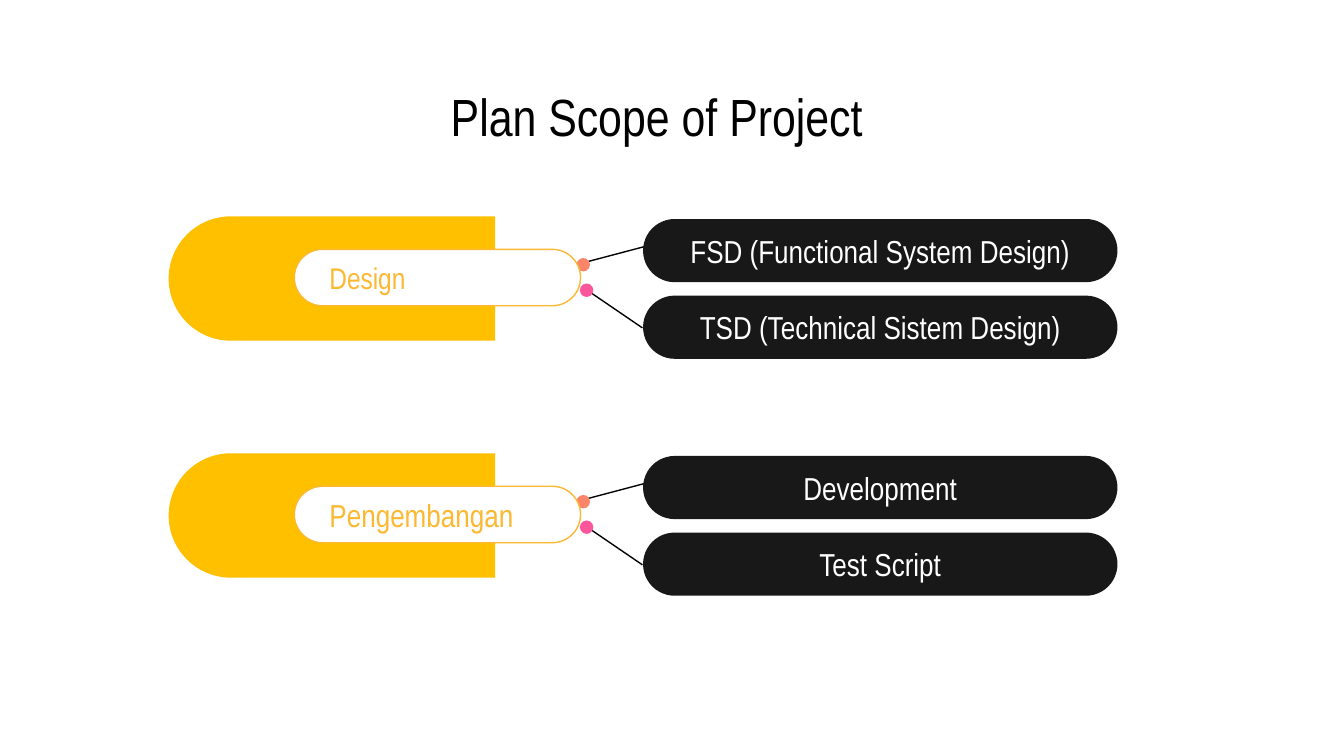
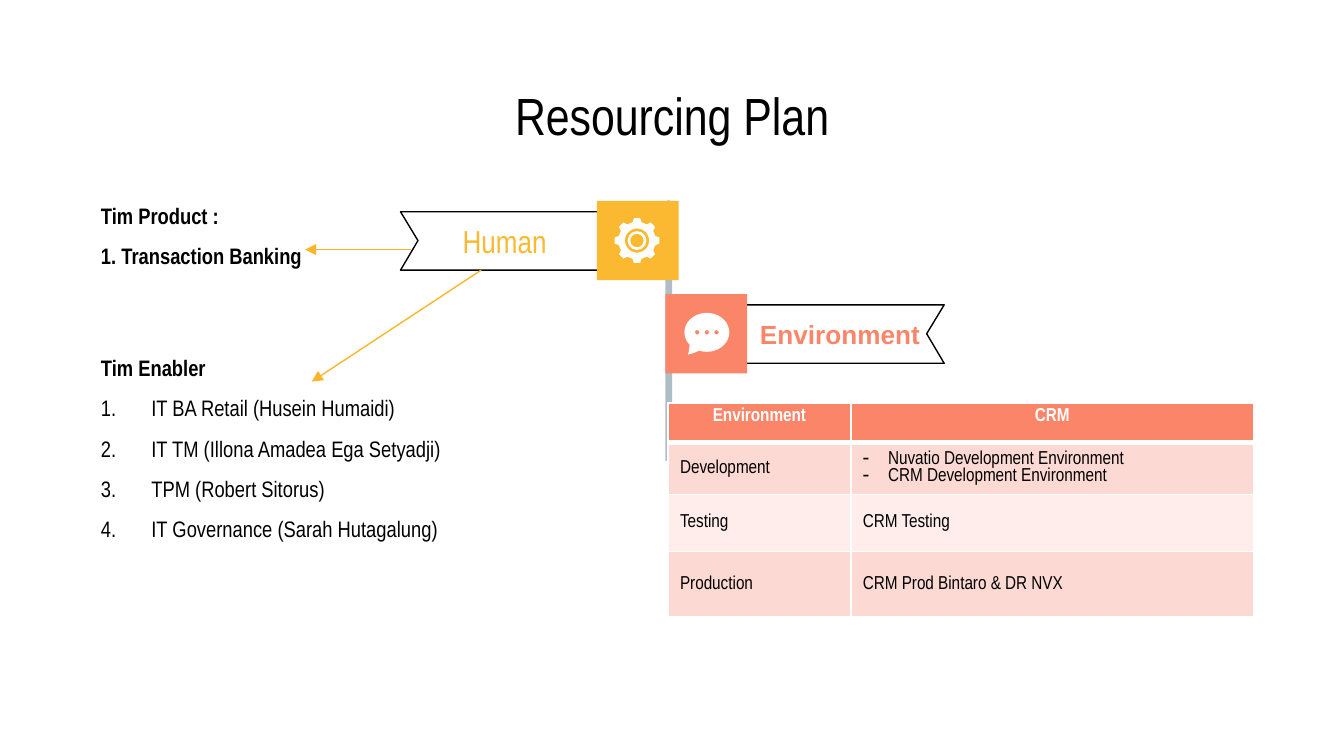
from dataclasses import dataclass
from math import cos, radians, sin

from lxml import etree
from pptx import Presentation, util as u
from pptx.dml.color import RGBColor
from pptx.enum import shapes, text
from pptx.oxml import ns

CELL = 0.1  # inches; every length below counts cells of this grid
FONT = "Arial Narrow"
COLORS = {
    "black": "000000", "white": "FFFFFF", "task": "181818", "band": "FFC000",
    "amber": "FBB831", "arrow": "FAB62B", "coral": "FB8569", "pink": "FB569C",
    "pole": "AFBDC6", "row_dark": "FDD9D4", "row_light": "FEEDEB",
}
SHAPE = shapes.MSO_SHAPE
ALIGN = text.PP_ALIGN
MIDDLE = text.MSO_ANCHOR.MIDDLE


def cells(count):
    return u.Inches(count * CELL)


@dataclass
class Box:
    """A region of the slide, measured in grid cells."""
    left: float
    top: float
    width: float
    height: float

    def inner(self, left, top, width, height):
        return Box(self.left + left, self.top + top, width, height)

    def point(self, x, y):
        return cells(self.left + x), cells(self.top + y)

    @property
    def frame(self):
        return tuple(map(cells, (self.left, self.top, self.width, self.height)))


SLIDE = Box(0, 0, 100, 56.25)


def color(name):
    return RGBColor.from_string(COLORS[name])


def style_font(paragraph, size, color_name, bold=False, name=FONT):
    font = paragraph.font
    font.name, font.size, font.bold = name, u.Pt(size), bold
    font.color.rgb = color(color_name)


def style_shape(shape, fill=None, line=None):
    shape.shadow.inherit = False
    if fill:
        shape.fill.solid()
        shape.fill.fore_color.rgb = color(fill)
    else:
        shape.fill.background()
    if line:
        shape.line.color.rgb = color(line)
        shape.line.width = u.Pt(0.75)
    else:
        shape.line.fill.background()
    return shape


def add_preset(slide, kind, box, fill, line=None, adjustments=()):
    shape = style_shape(slide.shapes.add_shape(kind, *box.frame), fill, line)
    for index, value in enumerate(adjustments):
        shape.adjustments[index] = value
    return shape


def add_outline(slide, box, contours, fill=None, line=None):
    """Draw closed contours, given in cells from the corner of the box."""
    paths = [[box.point(*point) for point in contour] for contour in contours]
    builder = slide.shapes.build_freeform(*paths[0][0])
    builder.add_line_segments(paths[0][1:], close=True)
    for start, *rest in paths[1:]:
        builder.move_to(*start)
        builder.add_line_segments(rest, close=True)
    return style_shape(builder.convert_to_shape(), fill, line)


def add_line(slide, start, end, line="black", arrow=False):
    connector = slide.shapes.add_connector(shapes.MSO_CONNECTOR.STRAIGHT, *start, *end)
    connector.line.color.rgb = color(line)
    connector.line.width = u.Pt(0.75)
    properties = connector._element.spPr
    if arrow:
        etree.SubElement(properties.find(ns.qn("a:ln")), ns.qn("a:tailEnd"), type="triangle")
    etree.SubElement(properties, ns.qn("a:effectLst"))


def write_label(shape, label, size, color_name, align=ALIGN.CENTER, indent=1, **font):
    frame = shape.text_frame
    frame.word_wrap = True
    frame.auto_size = text.MSO_AUTO_SIZE.NONE
    frame.vertical_anchor = MIDDLE
    frame.margin_left = cells(indent)
    frame.margin_top = frame.margin_right = frame.margin_bottom = cells(1)
    paragraph = frame.paragraphs[0]
    paragraph.text, paragraph.alignment = label, align
    style_font(paragraph, size, color_name, **font)


def add_bullet(paragraph, indent, tag, **attributes):
    properties = paragraph._p.get_or_add_pPr()
    properties.set("marL", str(cells(indent)))
    properties.set("indent", str(-cells(indent)))
    bullet_color = etree.SubElement(properties, ns.qn("a:buClr"))
    etree.SubElement(bullet_color, ns.qn("a:srgbClr"), val=COLORS["black"])
    etree.SubElement(properties, ns.qn(tag), **attributes)


def add_titled_slide(presentation, title, box):
    slide = presentation.slides.add_slide(presentation.slide_layouts[5])
    placeholder = slide.shapes.title
    placeholder.left, placeholder.top, placeholder.width, placeholder.height = box.frame
    write_label(placeholder, title, 28, "black")
    return slide


def add_scope(slide, box, label, label_size, tasks):
    """A yellow band with its label, branching into two tasks."""
    branches = [
        ((36.3, 2), (31, 3.4), (30.3, 3.1), "coral"),
        ((31.1, 5.5), (35.2, 8.3), (30.55, 5), "pink"),
    ]
    for row, (task, (start, end, dot, dot_color)) in enumerate(zip(tasks, branches)):
        add_line(slide, box.point(*start), box.point(*end))
        pill = add_preset(slide, SHAPE.ROUNDED_RECTANGLE,
                          box.inner(35.25, 0.2 + 5.7 * row, 35.3, 4.7), "task", adjustments=[0.5])
        write_label(pill, task, 17, "white")
        add_preset(slide, SHAPE.OVAL, box.inner(*dot, 1, 1), dot_color)

    length, thickness = 24.3, 9.25
    shift = (length - thickness) / 2
    band = add_preset(slide, SHAPE.ROUND_2_SAME_RECTANGLE,
                      box.inner(shift - 0.05, -shift, thickness, length), "band",
                      adjustments=[0.5, 0])
    band.rotation = 270
    pill = add_preset(slide, SHAPE.ROUNDED_RECTANGLE, box.inner(9.3, 2.45, 21.3, 4.2),
                      "white", "amber", [0.5])
    write_label(pill, label, label_size, "amber", ALIGN.LEFT, indent=2)


def add_ribbon(slide, box, label, accent, size, mirrored=False, **font):
    """A notched flag with an icon square at its end; returns the square's box."""
    square = box.inner(0 if mirrored else box.width - 6.1, 0, 6.1, 5.9)
    flag = [(15.5, 5.15), (0, 5.15), (1.3, 2.95), (0, 0.8), (15.5, 0.8)]
    if mirrored:
        flag = [(box.width - x, y) for x, y in flag]
    shape = add_outline(slide, box, [flag], line="black")
    write_label(shape, label, size, accent, **font)
    add_preset(slide, SHAPE.RECTANGLE, square, accent)
    return square


def arc(center, radius_x, radius_y, start=0, end=350, step=10):
    return [(center[0] + radius_x * cos(radians(angle)), center[1] + radius_y * sin(radians(angle)))
            for angle in range(start, end + 1, step)]


def add_gear_icon(slide, square):
    center = (3, 2.95)
    teeth = []
    for middle in range(0, 360, 45):
        for offset, radius in [(-14, 1.4), (-8, 1.68), (8, 1.68), (14, 1.4)]:
            teeth += arc(center, radius, radius, middle + offset, middle + offset)
    add_outline(slide, square, [teeth, arc(center, 0.9, 0.9)], "white")
    add_preset(slide, SHAPE.DONUT, square.inner(2.3, 2.25, 1.4, 1.4), "white", adjustments=[0.14])


def add_chat_icon(slide, square):
    bubble = arc((3.1, 2.85), 1.67, 1.45, 140, 470) + [(2.1, 4.4), (1.7, 4.5), (1.75, 4.3)]
    dots = [arc((3.1 + 0.72 * step, 2.85), 0.16, 0.16) for step in (-1, 0, 1)]
    add_outline(slide, square, [bubble, *dots], "white")


def add_team(slide, box, heading, members, numbered=False):
    frame = slide.shapes.add_textbox(*box.frame).text_frame
    frame.word_wrap = True
    frame.auto_size = text.MSO_AUTO_SIZE.SHAPE_TO_FIT_TEXT
    for index, line in enumerate([heading, *members]):
        paragraph = frame.paragraphs[0] if index == 0 else frame.add_paragraph()
        paragraph.text = line
        is_item = numbered and index > 0
        if is_item:
            add_bullet(paragraph, 3.75, "a:buAutoNum", type="arabicPeriod")
        paragraph.line_spacing = 1.5
        style_font(paragraph, 12, "black", bold=not is_item)


def add_cell_borders(cell, bottom):
    properties = cell._tc.get_or_add_tcPr()
    for side, width in [("L", 1), ("R", 1), ("T", 1), ("B", bottom)]:
        line = etree.SubElement(properties, ns.qn(f"a:ln{side}"), w=str(u.Pt(width)))
        fill = etree.SubElement(line, ns.qn("a:solidFill"))
        etree.SubElement(fill, ns.qn("a:srgbClr"), val=COLORS["white"])


def add_environment_table(slide, box, rows, widths, heights):
    """The first row is the header; a cell given as a list is bulleted."""
    table = slide.shapes.add_table(len(rows), len(widths), *box.frame).table
    for column, width in zip(table.columns, widths):
        column.width = cells(width)
    for index, (row, height) in enumerate(zip(rows, heights)):
        table.rows[index].height = cells(height)
        header = index == 0
        fill = "coral" if header else "row_dark" if index % 2 else "row_light"
        for cell, content in zip(table.rows[index].cells, row):
            add_cell_borders(cell, 3 if header else 1)
            cell.fill.solid()
            cell.fill.fore_color.rgb = color(fill)
            cell.margin_left = cell.margin_right = cells(0.9)
            cell.margin_top = cell.margin_bottom = cells(0.4)
            cell.vertical_anchor = text.MSO_ANCHOR.TOP if header else MIDDLE
            bulleted = isinstance(content, list)
            cell.text = "\n".join(content) if bulleted else content
            for paragraph in cell.text_frame.paragraphs:
                if bulleted:
                    add_bullet(paragraph, 1.88, "a:buChar", char="-")
                paragraph.alignment = ALIGN.CENTER if header else ALIGN.LEFT
                style_font(paragraph, 10, "white" if header else "black", bold=header)


def build_scope_slide(presentation):
    slide = add_titled_slide(presentation, "Plan Scope of Project", SLIDE.inner(6.6, 5.95, 84.5, 5.3))
    scopes = [
        ("Design", 16, ["FSD (Functional System Design)", "TSD (Technical Sistem Design)"]),
        ("Pengembangan", 17, ["Development", "Test Script"]),
    ]
    for row, scope in enumerate(scopes):
        add_scope(slide, SLIDE.inner(12.6, 16.1 + 17.63 * row, 70.5, 10.6), *scope)


def build_resource_slide(presentation):
    slide = add_titled_slide(presentation, "Resourcing Plan", SLIDE.inner(7.75, 5.9, 84.5, 5.3))
    add_preset(slide, SHAPE.ROUND_2_SAME_RECTANGLE, SLIDE.inner(49.5, 14.9, 0.5, 19.4),
               "pole", adjustments=[0.5, 0])
    chat_square = add_ribbon(slide, SLIDE.inner(49.5, 21.88, 20.75, 5.9), "Environment", "coral",
                             14, mirrored=True, bold=True, name="Arial")
    gear_square = add_ribbon(slide, SLIDE.inner(29.8, 14.95, 20.7, 5.9), "Human", "amber", 17)
    add_gear_icon(slide, gear_square)
    add_chat_icon(slide, chat_square)
    add_environment_table(
        slide, SLIDE.inner(49.7, 30, 43.6, 16.1),
        [("Environment", "CRM"),
         ("Development", ["Nuvatio Development Environment", "CRM Development Environment"]),
         ("Testing", "CRM Testing"),
         ("Production", "CRM Prod Bintaro & DR NVX")],
        widths=[13.6, 30], heights=[2.9, 3.9, 4.25, 4.85])
    add_team(slide, SLIDE.inner(6.53, 24.85, 50, 19.2), "Tim Enabler",
             ["IT BA Retail (Husein Humaidi)", "IT TM (Illona Amadea Ega Setyadji)",
              "TPM (Robert Sitorus)", "IT Governance (Sarah Hutagalung)"], numbered=True)
    add_team(slide, SLIDE.inner(6.53, 13.55, 50, 7.1), "Tim Product :", ["1. Transaction Banking"])
    for start, end in [((30.6, 18.57), (22.7, 18.57)), ((35.8, 20.1), (23.2, 28.4))]:
        add_line(slide, SLIDE.point(*start), SLIDE.point(*end), "arrow", arrow=True)


def main():
    presentation = Presentation()
    presentation.slide_width, presentation.slide_height = SLIDE.frame[2:]
    build_scope_slide(presentation)
    build_resource_slide(presentation)
    presentation.save("out.pptx")


if __name__ == "__main__":
    main()
